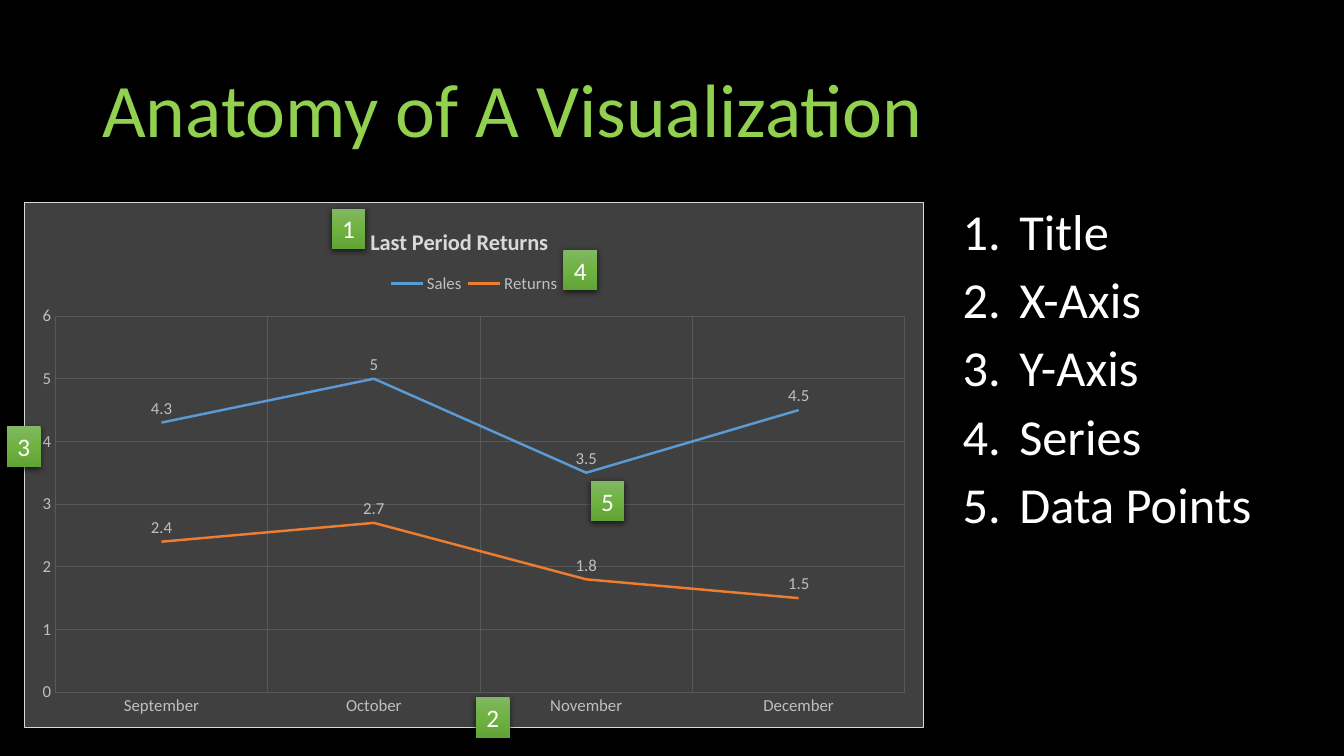
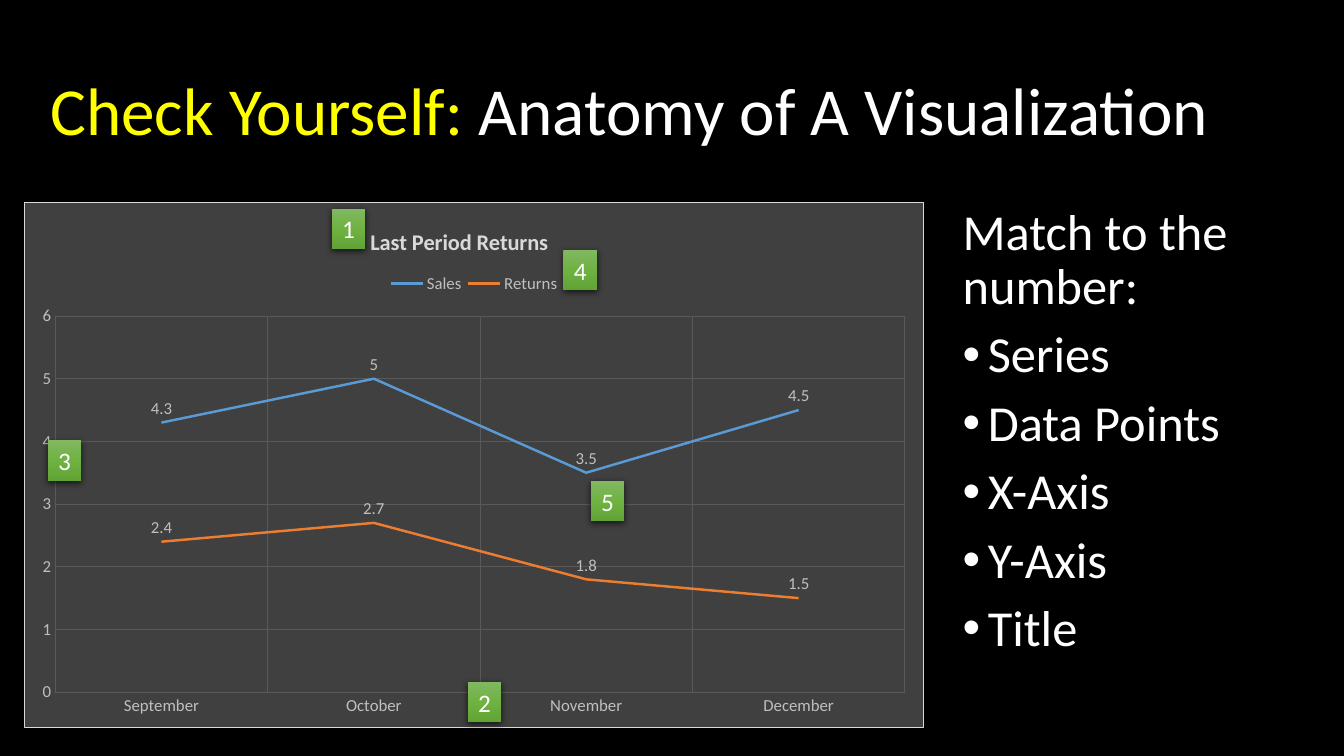
from dataclasses import dataclass

from lxml.etree import SubElement
from copy import deepcopy
from pptx import Presentation
from pptx.chart.data import CategoryChartData
from pptx.dml.color import RGBColor
from pptx.enum.chart import XL_CHART_TYPE, XL_LABEL_POSITION, XL_LEGEND_POSITION, XL_TICK_MARK
from pptx.enum.shapes import MSO_SHAPE
from pptx.enum.text import MSO_ANCHOR, MSO_AUTO_SIZE, PP_ALIGN
from pptx.oxml.ns import qn
from pptx.util import Pt


@dataclass(frozen=True)
class Theme:
    """Hold the shared colours, font and type sizes."""
    font: str = "Calibri"
    back: str = "000000"
    white: str = "FFFFFF"
    lime: str = "92D050"
    yellow: str = "FFFF00"
    panel: str = "404040"
    edge: str = "D9D9D9"
    grid: str = "595959"
    label: str = "BFBFBF"
    lines: tuple = ("5B9BD5", "ED7D31")
    greens: tuple = ("81B861", "6FB242", "62A336")
    big: int = 54
    head: int = 48
    body: int = 36
    badge: int = 18
    chart: int = 16
    small: int = 12


THEME = Theme()
MONTHS = ("September", "October", "November", "December")
SALES = {"Sales": (4.3, 5, 3.5, 4.5), "Returns": (2.4, 2.7, 1.8, 1.5)}
NAME = "Anatomy of A Visualization"
SPOTS = {1: (237, 149), 2: (340, 498), 3: (5, 304.5), 4: (402.5, 178.5), 5: (422, 343.5)}


def rgb(code):
    """Turn a hex code into a colour."""
    return RGBColor.from_string(code)


def style(font, size, color, bold=False):
    """Set the face, size, colour and weight of a font."""
    font.name, font.size, font.bold = THEME.font, Pt(size), bold
    font.color.rgb = rgb(color)


def node(root, tag, **attrs):
    """Append an XML child with the given attributes."""
    return SubElement(root, qn(tag), {key: str(val) for key, val in attrs.items()})


def add_text(slide, left, top, width, height):
    """Add a wrapping text box and return its frame."""
    frame = slide.shapes.add_textbox(Pt(left), Pt(top), Pt(width), Pt(height)).text_frame
    frame.word_wrap = True
    return frame


def add_title(slide, left, size, parts):
    """Add a title made of coloured parts, ending at a shared right edge."""
    frame = add_text(slide, left, 29, 894 - left, 104)
    frame.vertical_anchor = MSO_ANCHOR.MIDDLE
    para = frame.paragraphs[0]
    para.line_spacing = 0.9
    for text, color in parts:
        run = para.add_run()
        run.text = text
        style(run.font, size, color)


def mark(para, indent, tag, **attrs):
    """Give a paragraph a hanging bullet or number."""
    props = para._p.get_or_add_pPr()
    props.set("marL", str(Pt(indent)))
    props.set("indent", str(-Pt(indent)))
    node(props, "a:buFont", typeface="Arial" if tag == "a:buChar" else "+mj-lt")
    node(props, tag, **attrs)


def add_list(slide, items, lead=None):
    """Add a numbered list, or a bulleted one below a lead line."""
    frame = add_text(slide, 680.5, 144, 238.5, 343)
    lines = ([lead] if lead else []) + items
    for pos, text in enumerate(lines):
        para = frame.add_paragraph() if pos else frame.paragraphs[0]
        para.text = text
        para.line_spacing = 0.9
        if pos:
            para.space_before = Pt(10)
        if not lead:
            mark(para, 40.5, "a:buAutoNum", type="arabicPeriod")
        elif pos:
            mark(para, 18, "a:buChar", char="•")
        style(para.runs[0].font, THEME.body, THEME.white)


def add_badge(slide, label, left, top):
    """Add a green numbered badge with a soft shadow."""
    shape = slide.shapes.add_shape(MSO_SHAPE.RECTANGLE, Pt(left), Pt(top), Pt(24), Pt(29))
    fill = shape.fill
    fill.gradient()
    fill.gradient_angle = 270
    stops = shape._element.spPr.find(".//" + qn("a:gsLst"))
    stops.append(deepcopy(stops[0]))
    for pos, (stop, color) in enumerate(zip(fill.gradient_stops, THEME.greens)):
        stop.position = pos / 2
        stop.color.rgb = rgb(color)
    shape.line.fill.background()
    shape.shadow.inherit = False
    glow = node(shape._element.spPr.find(qn("a:effectLst")), "a:outerShdw", blurRad=Pt(4.5),
                dist=Pt(1.5), dir=5400000, algn="ctr", rotWithShape=0)
    node(node(glow, "a:srgbClr", val="000000"), "a:alpha", val=63000)
    frame = shape.text_frame
    frame.text = str(label)
    frame.word_wrap = False
    frame.auto_size = MSO_AUTO_SIZE.SHAPE_TO_FIT_TEXT
    para = frame.paragraphs[0]
    para.alignment = PP_ALIGN.CENTER
    style(para.runs[0].font, THEME.badge, THEME.white)


def place(part, spot, inner=False, **sides):
    """Fix the place of a chart part as shares of the chart."""
    for old in part.findall(qn("c:layout")):
        part.remove(old)
    layout = node(part, "c:layout")
    part.insert(spot, layout)
    rule = node(layout, "c:manualLayout")
    if inner:
        node(rule, "c:layoutTarget", val="inner")
    for side in "xy":
        node(rule, f"c:{side}Mode", val="edge")
    for side, share in sides.items():
        node(rule, f"c:{side}", val=share)


def paint(chart):
    """Fill and outline the chart area with square corners."""
    space = chart._chartSpace
    corner = node(space, "c:roundedCorners", val=0)
    space.find(qn("c:date1904")).addnext(corner)
    props = node(space, "c:spPr")
    chart._chartSpace.find(qn("c:chart")).addnext(props)
    line = None
    for color in (THEME.panel, THEME.edge):
        root = props if line is None else line
        node(node(root, "a:solidFill"), "a:srgbClr", val=color)
        if line is None:
            line = node(props, "a:ln", w=Pt(0.75))


def add_lines(slide):
    """Add the line chart of sales and returns."""
    data = CategoryChartData()
    data.categories = MONTHS
    for name, vals in SALES.items():
        data.add_series(name, vals)
    chart = slide.shapes.add_chart(XL_CHART_TYPE.LINE, Pt(17.25), Pt(144), Pt(643), Pt(376), data).chart
    style(chart.font, THEME.small, THEME.label)
    paint(chart)
    chart.has_title = True
    frame = chart.chart_title.text_frame
    frame.text = "Last Period Returns"
    style(frame.paragraphs[0].runs[0].font, THEME.chart, THEME.edge, True)
    place(chart.chart_title._element, 1, x=0.38, y=0.04)
    chart.has_legend = True
    legend = chart.legend
    legend.position = XL_LEGEND_POSITION.TOP
    legend.include_in_layout = False
    style(legend.font, THEME.small, THEME.label)
    place(legend._element, 1, x=0.4, y=0.13, w=0.2, h=0.05)
    for axis in (chart.category_axis, chart.value_axis):
        axis.major_tick_mark = axis.minor_tick_mark = XL_TICK_MARK.NONE
        axis.format.line.fill.background()
        axis.has_major_gridlines = True
        grid = axis.major_gridlines.format.line
        grid.width = Pt(0.75)
        grid.color.rgb = rgb(THEME.grid)
        style(axis.tick_labels.font, THEME.small, THEME.label)
    chart.value_axis.minimum_scale = 0
    chart.value_axis.maximum_scale = 6
    chart.value_axis.major_unit = 1
    plot = chart.plots[0]
    plot.vary_by_categories = False
    plot.has_data_labels = True
    labels = plot.data_labels
    labels.show_value = True
    labels.position = XL_LABEL_POSITION.ABOVE
    style(labels.font, THEME.small, THEME.label)
    for row, color in zip(plot.series, THEME.lines):
        row.smooth = False
        row.format.line.width = Pt(1.75)
        row.format.line.color.rgb = rgb(color)
    area = chart._chartSpace.find(".//" + qn("c:plotArea"))
    place(area, 0, True, x=0.034, y=0.217, w=0.945, h=0.716)


def add_page(deck, left, size, parts, spots, items, lead=None):
    """Build one slide with title, chart, list and badges."""
    slide = deck.slides.add_slide(deck.slide_layouts[6])
    add_title(slide, left, size, parts)
    add_lines(slide)
    add_list(slide, items, lead)
    for label, (x, y) in spots.items():
        add_badge(slide, label, x, y)


def main():
    """Build and save both slides."""
    deck = Presentation()
    deck.slide_width, deck.slide_height = Pt(960), Pt(540)
    fill = deck.slide_master.background.fill
    fill.solid()
    fill.fore_color.rgb = rgb(THEME.back)
    add_page(deck, 66, THEME.big, [(NAME, THEME.lime)], SPOTS,
             ["Title", "X-Axis", "Y-Axis", "Series", "Data Points"])
    add_page(deck, 29, THEME.head, [("Check Yourself: ", THEME.yellow), (NAME, THEME.white)],
             SPOTS | {2: (334, 487), 3: (34, 314.5)},
             ["Series", "Data Points", "X-Axis", "Y-Axis", "Title"], "Match to the number:")
    deck.save("out.pptx")


if __name__ == "__main__":
    main()
